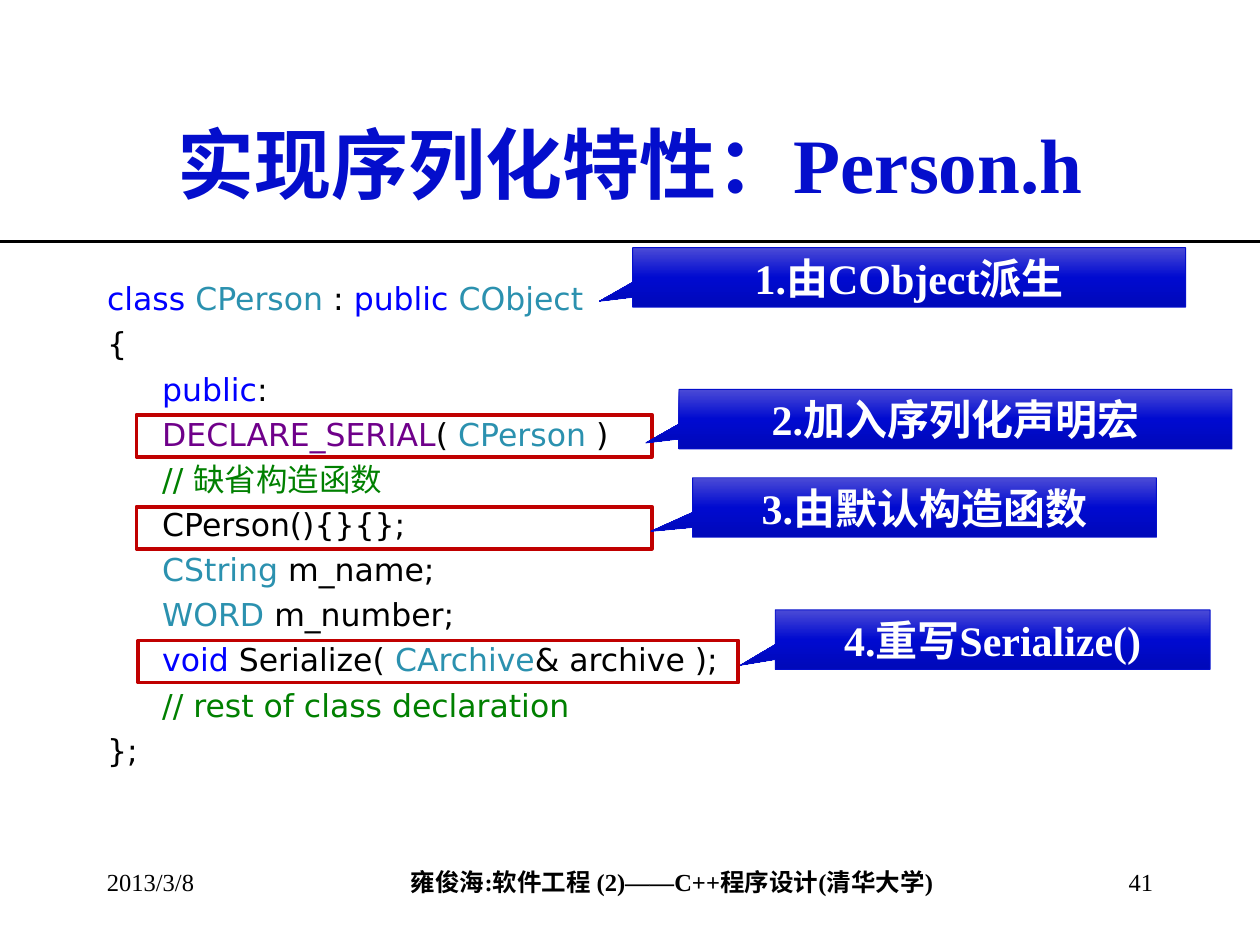
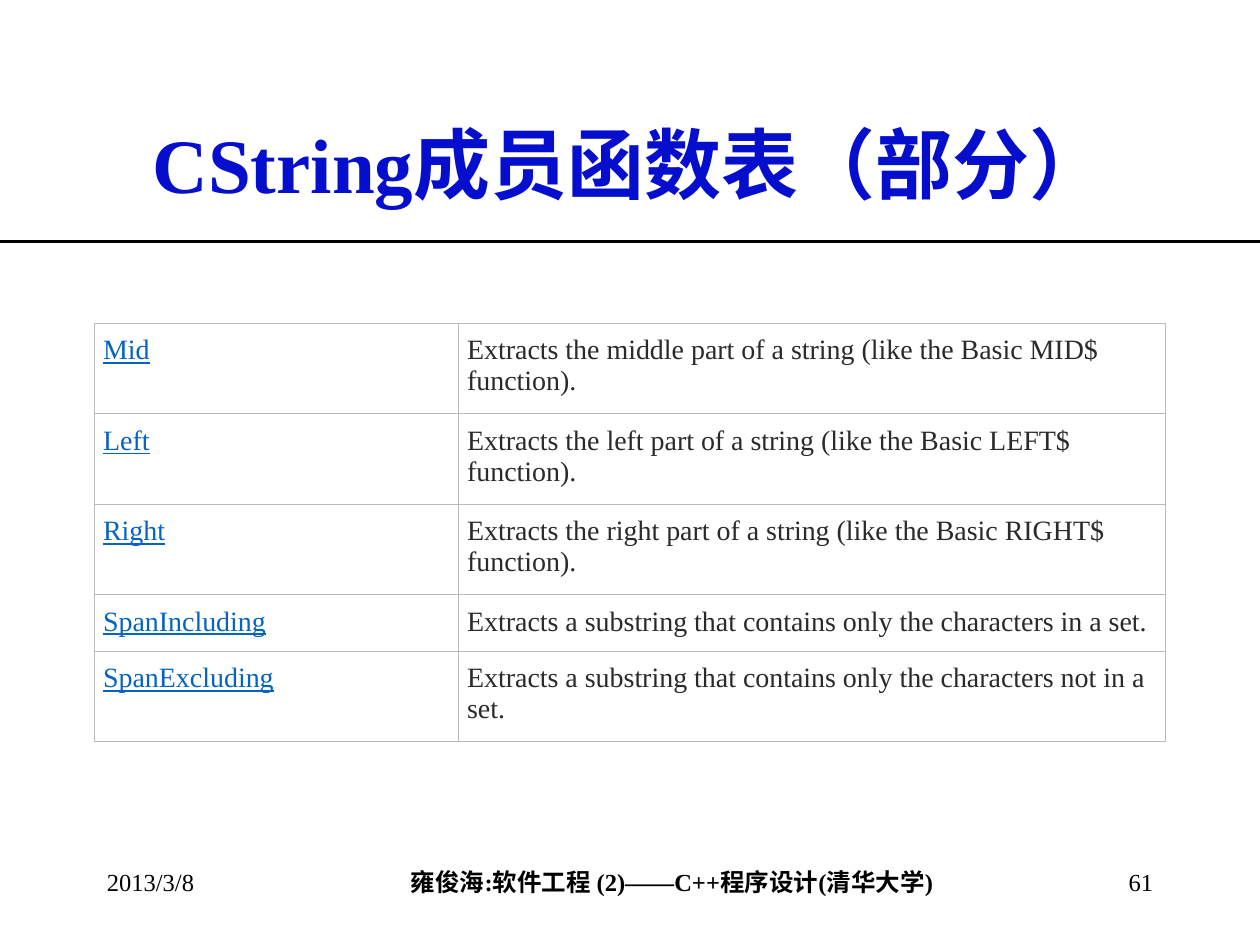
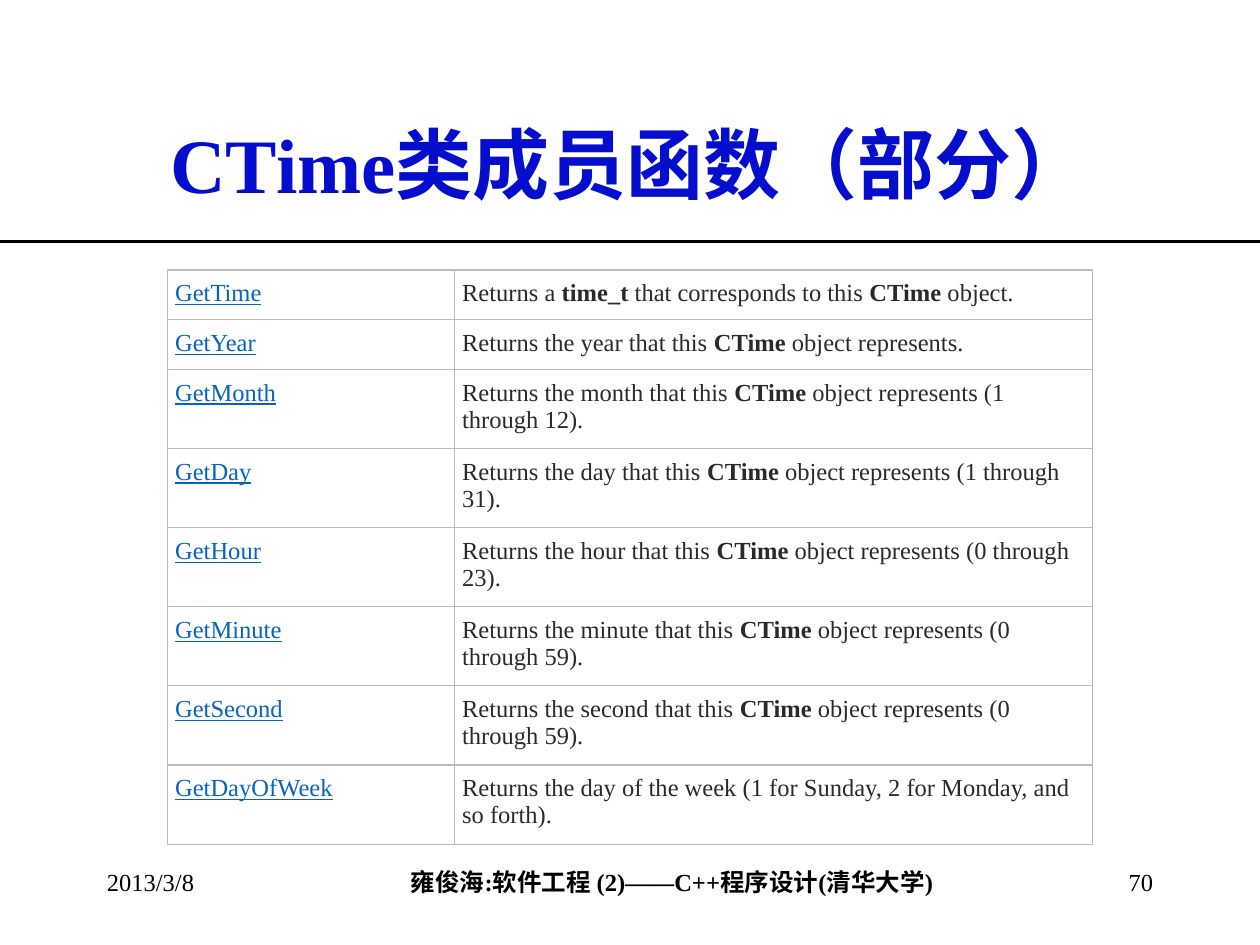
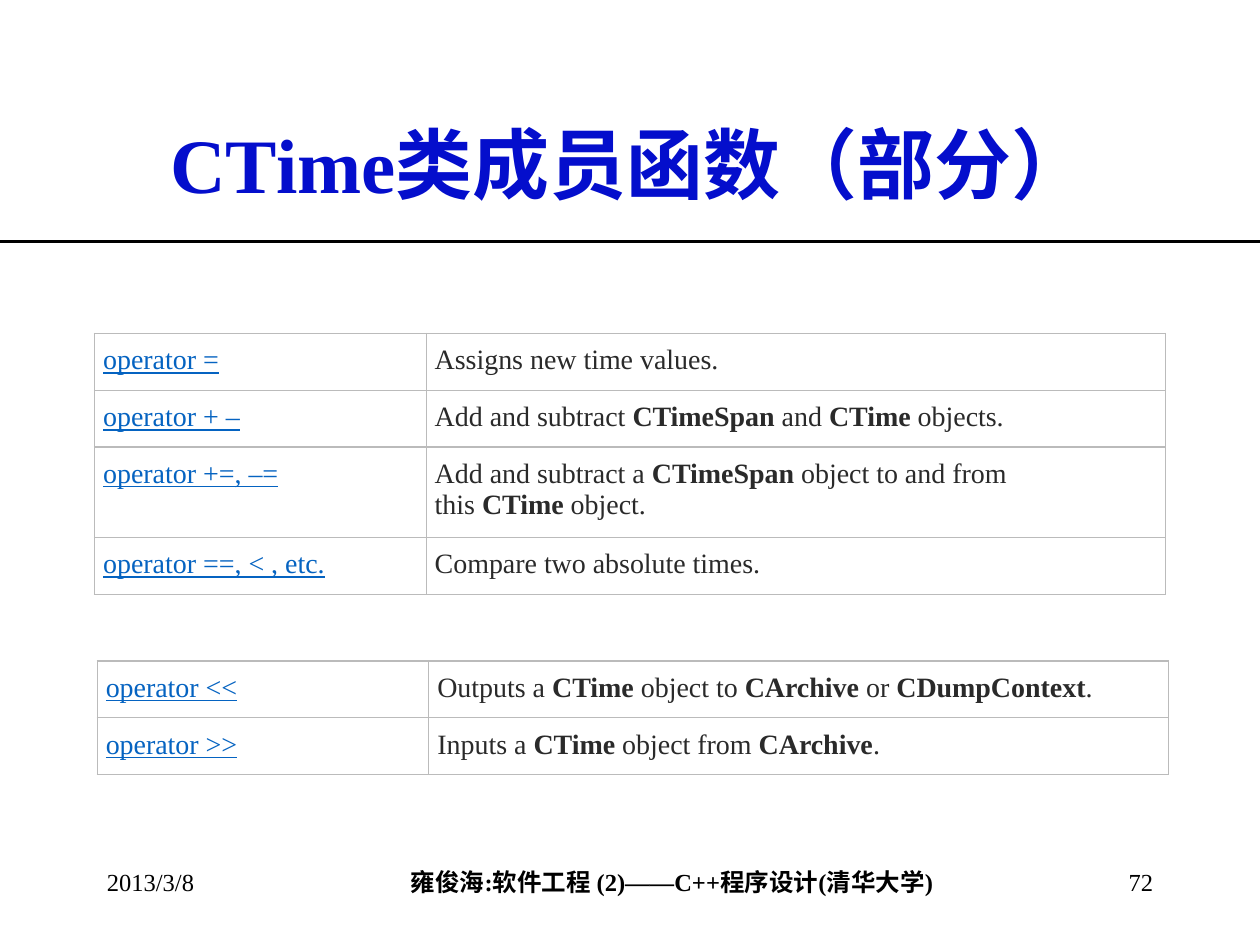
from copy import deepcopy

from lxml import etree
from pptx import Presentation
from pptx import util as u
from pptx.dml import color
from pptx.enum import shapes, text
from pptx.oxml import ns

COLORS = {
    "black": "000000", "white": "FFFFFF", "title": "040ECC", "red": "C00000",
    "keyword": "0000FF", "type": "2B91AF", "macro": "6F008A", "comment": "008000",
    "link": "0563C1", "cell": "2A2A2A", "border": "BBBBBB",
    "glow": "4B4BD6", "blue": "000AD0", "deep": "0009B9",
}
SERIF, CODE_FONT = "Times New Roman", "DejaVu Sans"
LEFT, CENTER, RIGHT = text.PP_ALIGN.LEFT, text.PP_ALIGN.CENTER, text.PP_ALIGN.RIGHT
NBSP = chr(160)

TITLE_BOX = (54, 48, 612, 90)
BODY_BOX = (54, 156, 612, 324)
RULE_Y = 138
FOOTER = "雍俊海:软件工程 (2)——C++程序设计(清华大学)"
DATE = "2013/3/8"

CODE = [
    (0, [("class", "keyword"), (" ", "black"), ("CPerson", "type"), (" : ", "black"),
         ("public", "keyword"), (" ", "black"), ("CObject", "type")]),
    (0, [("{", "black")]),
    (1, [("public", "keyword"), (":", "black")]),
    (1, [("DECLARE_SERIAL", "macro"), ("( ", "black"), ("CPerson", "type"), (" )", "black")]),
    (1, [("// 缺省构造函数", "comment")]),
    (1, [("CPerson(){}{};", "black")]),
    (1, [("CString", "type"), (" m_name;", "black")]),
    (1, [("WORD", "type"), (" m_number;", "black")]),
    (1, [("void", "keyword"), (" Serialize( ", "black"), ("CArchive", "type"),
         ("& archive );", "black")]),
    (1, [("// rest of class declaration", "comment")]),
    (0, [("};", "black")]),
]
FRAMES = [(78, 237, 294.5, 24), (78, 289.5, 294.5, 24), (79, 366, 343, 24)]
CALLOUTS = [
    ("1.由CObject派生", (361.5, 141.5, 316, 34), (-0.56, 0.4)),
    ("2.加入序列化声明宏", (388, 222.5, 316, 34), (-0.56, 0.4)),
    ("3.由默认构造函数", (395.75, 273, 265, 34), (-0.59, 0.4)),
    ("4.重写Serialize()", (443, 348.5, 248.5, 34), (-0.58, 0.43)),
]

STRING_ROWS = [
    ("Mid", "Extracts the middle part of a string (like the Basic MID$ function).", 2),
    ("Left", "Extracts the left part of a string (like the Basic LEFT$ function).", 2),
    ("Right", "Extracts the right part of a string (like the Basic RIGHT$ function).", 2),
    ("SpanIncluding", "Extracts a substring that contains only the characters in a set.", 1),
    ("SpanExcluding", "Extracts a substring that contains only the characters not in a set.", 2),
]
TIME_ROWS = [
    ("GetTime", "Returns a *time_t* that corresponds to this *CTime* object.", 1),
    ("GetYear", "Returns the year that this *CTime* object represents.", 1),
    *((f"Get{part}", f"Returns the {part.lower()} that this *CTime* object represents ({span}).", 2)
      for part, span in [("Month", "1 through 12"), ("Day", "1 through 31"),
                         ("Hour", "0 through 23"), ("Minute", "0 through 59"),
                         ("Second", "0 through 59")]),
    ("GetDayOfWeek", "Returns the day of the week (1 for Sunday, 2 for Monday, and so forth).", 2),
]
OPERATOR_ROWS = [
    ("operator =", "Assigns new time values.", 1),
    ("operator + –", "Add and subtract *CTimeSpan* and *CTime* objects.", 1),
    ("operator +=, –=", "Add and subtract a *CTimeSpan* object to and from this *CTime* object.", 2),
    ("operator ==, < , etc.", "Compare two absolute times.", 1),
]
STREAM_ROWS = [
    ("operator <<", "Outputs a *CTime* object to *CArchive* or *CDumpContext*.", 1),
    ("operator >>", "Inputs a *CTime* object from *CArchive*.", 1),
]


def rgb(name):
    """Return the named colour."""
    return color.RGBColor.from_string(COLORS[name])


def points(box):
    """Turn numbers into point lengths."""
    return [u.Pt(value) for value in box]


def place(shape, box):
    """Move and size a shape."""
    shape.left, shape.top, shape.width, shape.height = points(box)


def add_span(para, words, size, tint, bold=False, underline=False, font=SERIF):
    """Append one formatted run."""
    span = para.add_run()
    span.text = words
    span.font.name, span.font.size = font, u.Pt(size)
    span.font.bold, span.font.underline = bold, underline
    span.font.color.rgb = rgb(tint)


def add_label(page, box, words, align, bold=False, side=7.2):
    """Add a footer text box."""
    frame = page.shapes.add_textbox(*points(box)).text_frame
    frame.word_wrap = True
    frame.margin_left = frame.margin_right = u.Pt(side)
    para = frame.paragraphs[0]
    para.alignment = align
    add_span(para, words, 14, "black", bold)


def add_page(deck, layout, title, number):
    """Add a slide with its title, rule and footer."""
    page = deck.slides.add_slide(deck.slide_layouts[layout])
    heading = page.shapes.title
    place(heading, TITLE_BOX)
    frame = heading.text_frame
    frame.auto_size = text.MSO_AUTO_SIZE.NONE
    frame.vertical_anchor = text.MSO_ANCHOR.MIDDLE
    frame.paragraphs[0].alignment = CENTER
    add_span(frame.paragraphs[0], title, 44, "title", bold=True)

    rule = page.shapes.add_connector(
        shapes.MSO_CONNECTOR.STRAIGHT, *points((0, RULE_Y, 720, RULE_Y)))
    rule.line.color.rgb, rule.line.width = rgb("black"), u.Pt(2.25)
    etree.SubElement(rule._element.spPr, ns.qn("a:effectLst"))

    add_label(page, (147.5, 492, 473, 24), FOOTER, CENTER, bold=True, side=0)
    add_label(page, (54, 492, 150, 36), DATE, LEFT)
    add_label(page, (516, 492, 150, 36), str(number), RIGHT)
    return page


def add_code(body, box):
    """Fill the body placeholder with coloured code."""
    place(body, box)
    frame = body.text_frame
    frame.auto_size = text.MSO_AUTO_SIZE.NONE
    for index, (level, spans) in enumerate(CODE):
        para = frame.add_paragraph() if index else frame.paragraphs[0]
        properties = para._p.get_or_add_pPr()
        properties.set("marL", str(u.Pt(31.5 * level)))
        properties.set("indent", "0")
        etree.SubElement(properties, ns.qn("a:buNone"))
        para.level = level
        para.space_before = u.Pt(4.2 if index else 0)
        for words, tint in spans:
            add_span(para, words, 18, tint, font=CODE_FONT)


def add_frame(page, box):
    """Outline a line of code in red."""
    frame = page.shapes.add_shape(shapes.MSO_SHAPE.RECTANGLE, *points(box))
    frame.shadow.inherit = False
    frame.fill.background()
    frame.line.color.rgb, frame.line.width = rgb("red"), u.Pt(2.25)


def add_callout(page, words, box, tip):
    """Add a gradient callout whose tip is relative to its centre."""
    callout = page.shapes.add_shape(shapes.MSO_SHAPE.RECTANGULAR_CALLOUT, *points(box))
    callout.shadow.inherit = False
    callout.adjustments[0], callout.adjustments[1] = tip
    fill = callout.fill
    fill.gradient()
    fill.gradient_angle = 270
    stop_list = callout._element.spPr.find(".//" + ns.qn("a:gsLst"))
    stop_list.append(deepcopy(stop_list[0]))
    for stop, position, tint in zip(fill.gradient_stops, (0, 0.5, 1), ("glow", "blue", "deep")):
        stop.position = position
        stop.color.rgb = rgb(tint)
    callout.line.color.rgb, callout.line.width = rgb("title"), u.Pt(0.5)
    frame = callout.text_frame
    frame.word_wrap = True
    frame.vertical_anchor = text.MSO_ANCHOR.MIDDLE
    frame.paragraphs[0].alignment = CENTER
    add_span(frame.paragraphs[0], words, 24, "white", bold=True)


def format_cell(cell, size):
    """Set the margins, thin borders and empty fill of a cell."""
    cell.margin_left = cell.margin_right = u.Pt(round(size * 0.31, 2))
    cell.margin_top = cell.margin_bottom = u.Pt(round(size * 0.41, 2))
    properties = cell._tc.get_or_add_tcPr()
    for side in ("lnL", "lnR", "lnT", "lnB"):
        border = etree.SubElement(properties, ns.qn(f"a:{side}"), w=str(u.Pt(0.75)))
        solid = etree.SubElement(border, ns.qn("a:solidFill"))
        etree.SubElement(solid, ns.qn("a:srgbClr"), val=COLORS["border"])
    cell.fill.background()


def add_members(page, left, top, widths, rows, size):
    """Add a table of members; terms between asterisks are bold."""
    heights = [size * (0.83 + 1.2 * lines) for _, _, lines in rows]
    box = points((left, top, sum(widths), sum(heights)))
    table = page.shapes.add_table(len(rows), len(widths), *box).table
    table.first_row = table.horz_banding = False
    for column, width in zip(table.columns, widths):
        column.width = u.Pt(width)
    for row, height, (member, meaning, _) in zip(table.rows, heights, rows):
        row.height = u.Pt(height)
        name_cell, meaning_cell = row.cells
        format_cell(name_cell, size)
        format_cell(meaning_cell, size)
        add_span(name_cell.text_frame.paragraphs[0], member, size, "link", underline=True)
        joined = meaning.replace(" *", NBSP + "*").replace("* ", "*" + NBSP)
        for index, words in enumerate(joined.split("*")):
            add_span(meaning_cell.text_frame.paragraphs[0], words, size, "cell",
                     bold=index % 2 == 1)


def build_code_page(deck):
    """Build the slide of annotated class code."""
    page = add_page(deck, 1, "实现序列化特性：Person.h", 41)
    add_code(page.placeholders[1], BODY_BOX)
    for box in FRAMES:
        add_frame(page, box)
    for words, box, tip in CALLOUTS:
        add_callout(page, words, box, tip)


def build_table_page(deck, title, number, tables):
    """Build a slide of member tables."""
    page = add_page(deck, 5, title, number)
    for table in tables:
        add_members(page, *table)


def main():
    """Build and save the deck."""
    deck = Presentation()
    deck.slide_width, deck.slide_height = u.Pt(720), u.Pt(540)
    build_code_page(deck)
    build_table_page(deck, "CString成员函数表（部分）", 61,
                     [(54, 184.75, (208, 404), STRING_ROWS, 16)])
    time_title = "CTime类成员函数（部分）"
    build_table_page(deck, time_title, 70, [(95.75, 154.25, (164, 364.5), TIME_ROWS, 14)])
    operator_widths = (189.5, 422.5)
    build_table_page(deck, time_title, 72,
                     [(54, 190.5, operator_widths, OPERATOR_ROWS, 16),
                      (55.5, 377.75, operator_widths, STREAM_ROWS, 16)])
    deck.save("out.pptx")


if __name__ == "__main__":
    main()
